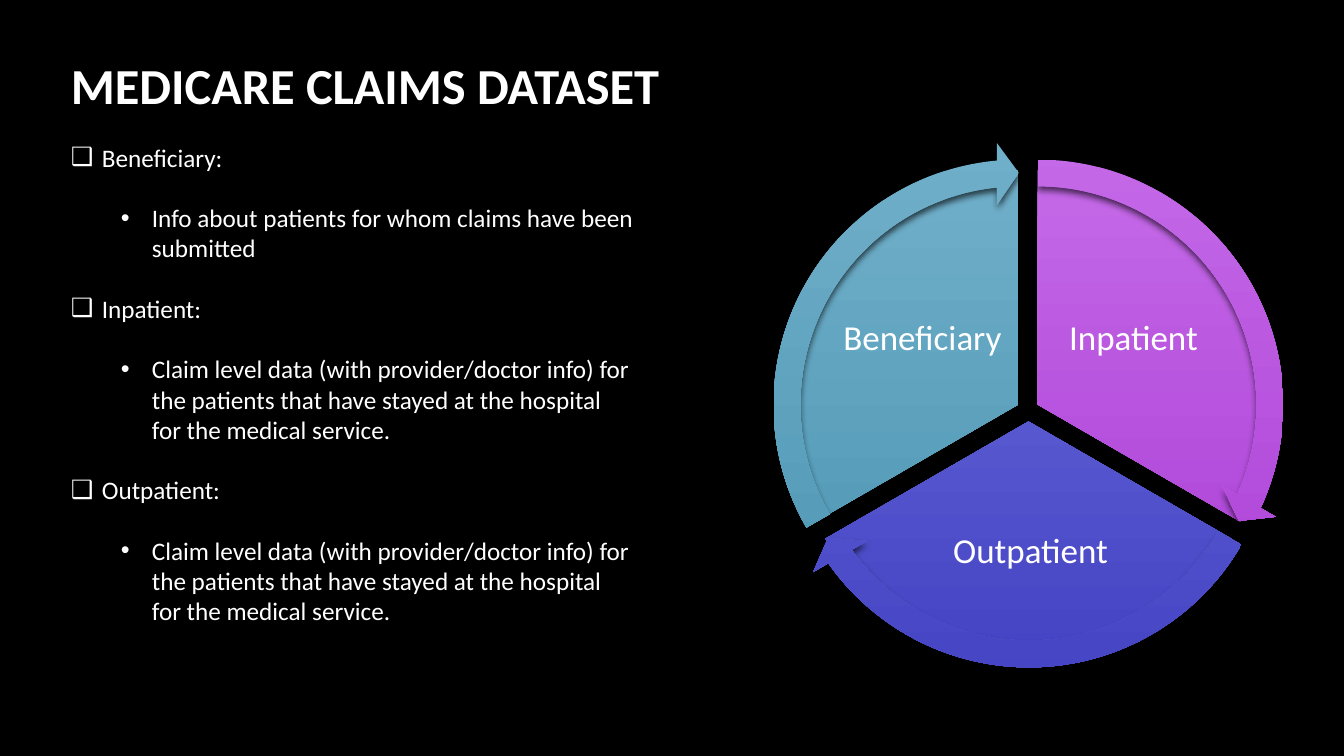
from lxml.etree import SubElement
from pptx import Presentation
from pptx.dml.color import RGBColor
from pptx.enum.shapes import MSO_SHAPE
from pptx.enum.text import MSO_ANCHOR, PP_ALIGN
from pptx.oxml.ns import qn
from pptx.util import Pt

BLACK = RGBColor(0x00, 0x00, 0x00)
WHITE = RGBColor(0xFF, 0xFF, 0xFF)
PURPLE = (RGBColor(0xC4, 0x69, 0xE8), RGBColor(0xAB, 0x3F, 0xD5))
INDIGO = (RGBColor(0x6C, 0x6C, 0xDA), RGBColor(0x45, 0x45, 0xC5))
TEAL = (RGBColor(0x70, 0xAF, 0xC9), RGBColor(0x4C, 0x95, 0xB3))

PIE_SIZE = 469
ARROW_SIZE = 526
ARROW_INSET = 28
LINE_GAP = 21.6
CLAIMS = ("Claim level data (with provider/doctor info) for the patients "
          "that have stayed at the hospital for the medical service.")
TOPICS = [
    ("Beneficiary:", "Info about patients for whom claims have been submitted"),
    ("Inpatient:", CLAIMS),
    ("Outpatient:", CLAIMS),
]
SECTORS = [
    ("Inpatient", PURPLE, (803, 170), (162, 18), (14.725, 161.994), (1050, 270, 167, 139)),
    ("Outpatient", INDIGO, (794, 187), (18, 90), (86.72, 18.005), (905, 491, 251, 123)),
    ("Beneficiary", TEAL, (784, 170), (90, 162), (158.73, 90), (839, 270, 167, 139)),
]


def px(n):
    """Turn whole pixels into EMU."""
    return round(n * 914400 / 100.8)


class Deck:
    """Hold the style and the current slide."""

    def __init__(self, width, height):
        """Open a one-slide deck with a black background."""
        self.prs = Presentation()
        self.prs.slide_width, self.prs.slide_height = px(width), px(height)
        self.s = self.prs.slides.add_slide(self.prs.slide_layouts[6])
        self.s.background.fill.solid()
        self.s.background.fill.fore_color.rgb = BLACK
        self.font = {"name": "Calibri"}

    def frame(self, box, **fmt):
        """Add a wrapping text box and return its text frame."""
        tf = self.s.shapes.add_textbox(*map(px, box)).text_frame
        for key, value in {"word_wrap": True, **fmt}.items():
            setattr(tf, key, value)
        return tf

    def run(self, p, text, **fmt):
        """Add one white run to a paragraph."""
        r = p.add_run()
        r.text = text
        for key, value in {**self.font, **fmt}.items():
            setattr(r.font, key, value)
        r.font.color.rgb = WHITE

    def title(self, box, text):
        """Add the slide title."""
        tf = self.frame(box, vertical_anchor=MSO_ANCHOR.MIDDLE)
        self.run(tf.paragraphs[0], text, size=Pt(36), bold=True)

    def label(self, box, text):
        """Add a centred sector label."""
        sides = ("left", "top", "right", "bottom")
        margins = {f"margin_{side}": px(3) for side in sides}
        tf = self.frame(box, vertical_anchor=MSO_ANCHOR.MIDDLE, **margins)
        p = tf.paragraphs[0]
        p.alignment, p.line_spacing = PP_ALIGN.CENTER, 0.9
        self.run(p, text, size=Pt(25))

    def bullets(self, box, topics):
        """Add two-level bullets, one line apart."""
        tf = self.frame(box)
        items = [(level, text) for topic in topics for level, text in enumerate(topic)]
        for i, (level, text) in enumerate(items):
            p = tf.add_paragraph() if i else tf.paragraphs[0]
            p.level = level
            p.space_before = Pt(LINE_GAP if i else 0)
            pPr = p._p.get_or_add_pPr()
            pPr.set("marL", str(px(31 + 50 * level)))
            pPr.set("indent", str(-px(31)))
            SubElement(pPr, qn("a:buFont"), typeface="Arial")
            SubElement(pPr, qn("a:buChar"), char="❑•"[level])
            self.run(p, text, size=Pt(18))

    def shape(self, kind, left, top, size, adjustments, colors):
        """Add a square preset shape with a gradient and a soft shadow."""
        sp = self.s.shapes.add_shape(kind, px(left), px(top), px(size), px(size))
        for i, value in enumerate(adjustments):
            sp.adjustments[i] = value
        sp.line.fill.background()
        sp.fill.gradient()
        sp.fill.gradient_angle = 270
        for stop, color, position in zip(sp.fill.gradient_stops, colors, (0, 1)):
            stop.color.rgb, stop.position = color, position
        sp.shadow.inherit = False
        effects = sp._element.spPr.find(qn("a:effectLst"))
        shadow = SubElement(effects, qn("a:outerShdw"), blurRad=str(Pt(5)),
                            dist=str(Pt(3)), dir="5400000", rotWithShape="0")
        color = SubElement(shadow, qn("a:srgbClr"), val=str(BLACK))
        SubElement(color, qn("a:alpha"), val="65000")

    def cycle(self, sectors):
        """Add the pie sectors with labels, then the arrows around them."""
        for text, colors, (left, top), angles, _, box in sectors:
            self.shape(MSO_SHAPE.PIE, left, top, PIE_SIZE, angles, colors)
            self.label(box, text)
        for _, colors, (left, top), _, (end, start), _ in sectors:
            self.shape(MSO_SHAPE.CIRCULAR_ARROW, left - ARROW_INSET, top - ARROW_INSET,
                       ARROW_SIZE, (0.051, 3.275, end, start, 0.059), colors)


def main():
    """Build and save the slide."""
    deck = Deck(1344, 756)
    deck.title((61, 41, 1207, 87), "MEDICARE CLAIMS DATASET")
    deck.cycle(SECTORS)
    deck.bullets((61, 137, 584, 559), TOPICS)
    deck.prs.save("out.pptx")


if __name__ == "__main__":
    main()
